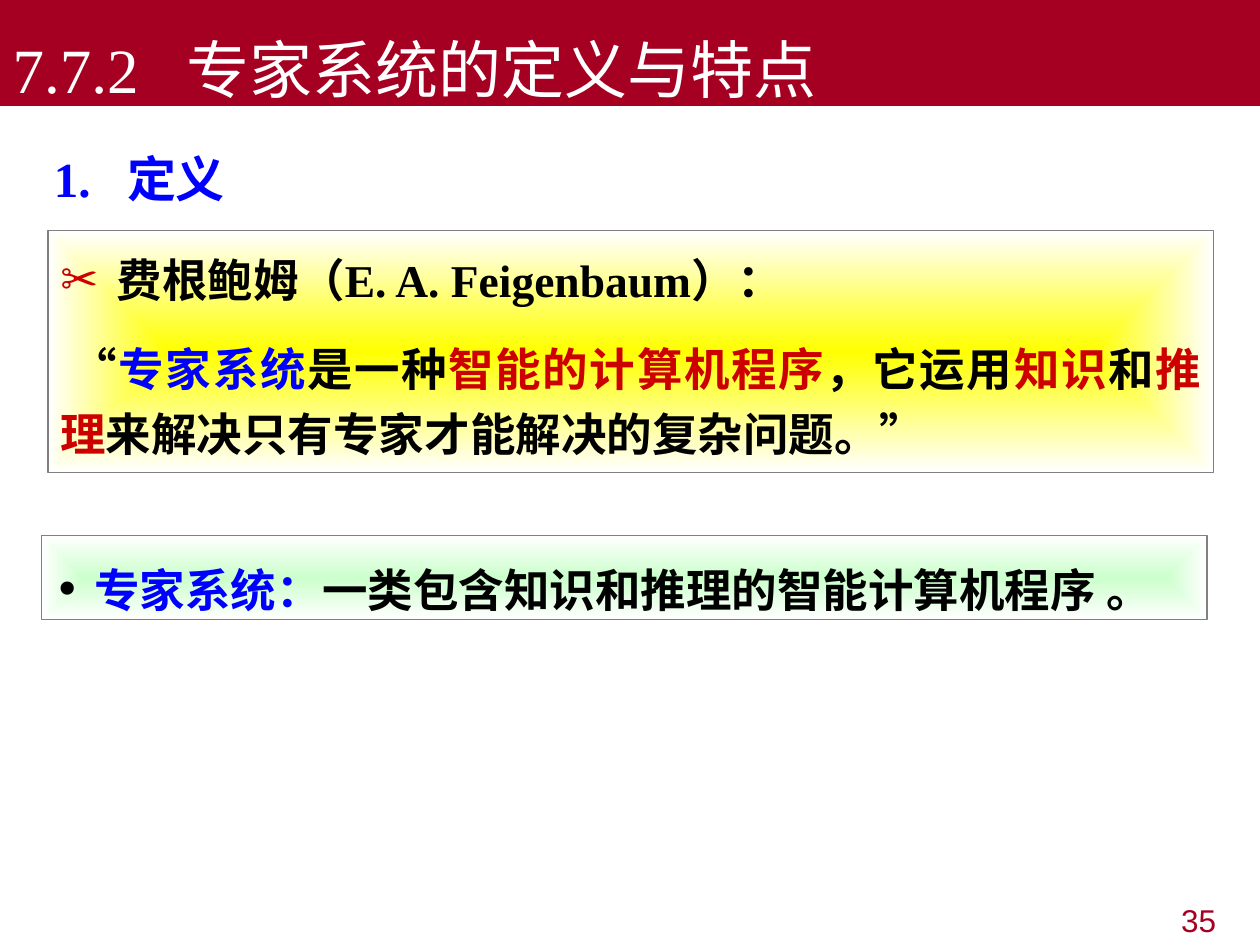
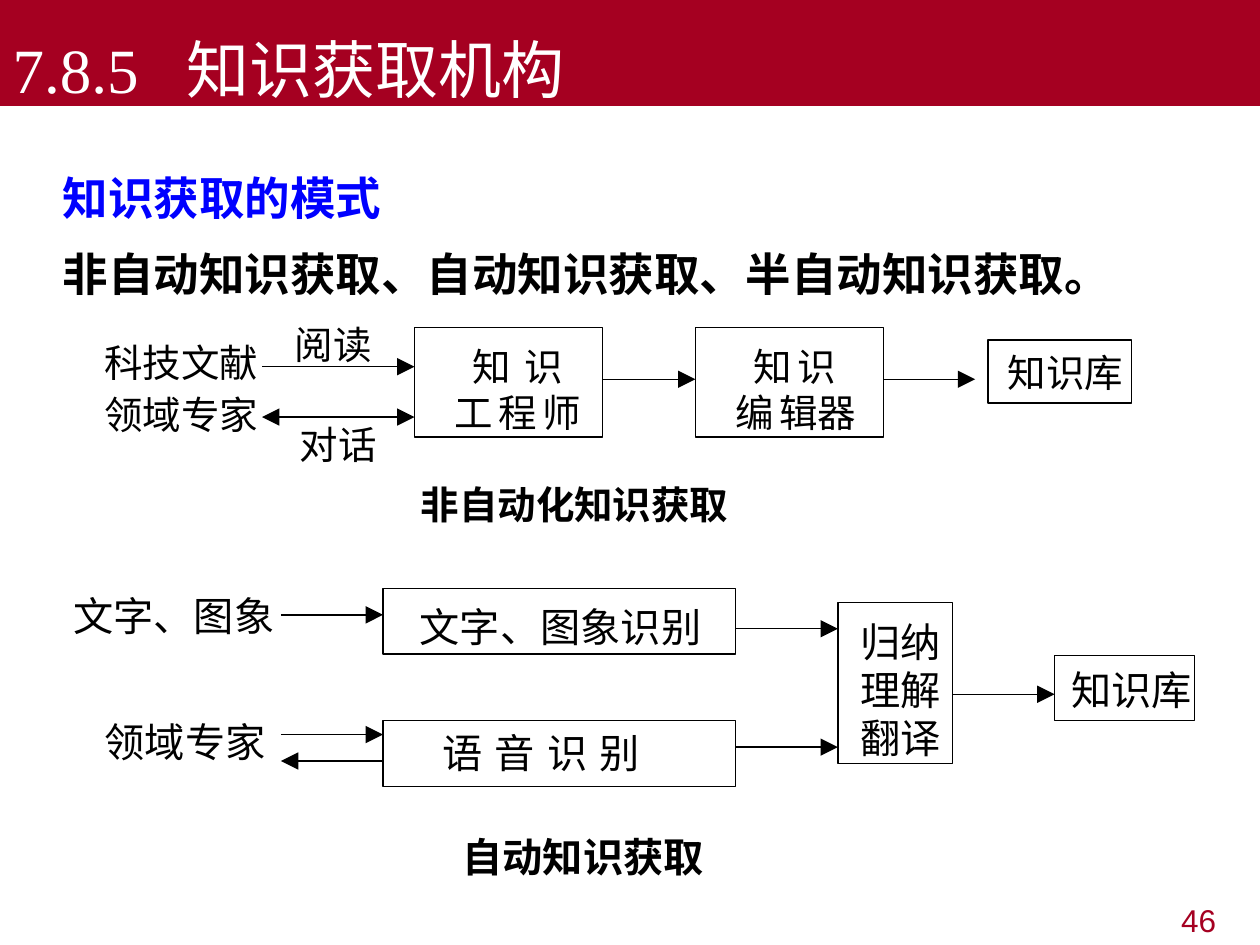
from lxml.etree import SubElement
from pptx import Presentation
from pptx.dml.color import RGBColor
from pptx.enum.shapes import MSO_CONNECTOR as Connector, MSO_SHAPE as Shape
from pptx.enum.text import MSO_ANCHOR as Anchor, MSO_AUTO_SIZE as AutoSize, PP_ALIGN as Align
from pptx.oxml.ns import qn
from pptx.util import Inches, Pt

CRIMSON, RED, BLUE = "A50021", "CC0000", "0000FF"
BLACK, WHITE, GRAY = "000000", "FFFFFF", "808080"
YELLOW, GREEN = "FFFF00", "CCFFCC"
SERIF, SANS, CJK, SYMBOLS = "Times New Roman", "Arial", "Noto Sans CJK SC", "DejaVu Sans"
hue = RGBColor.from_string

deck = Presentation()
deck.slide_width, deck.slide_height = Inches(10), Inches(7.5)
COLUMN, ROW = deck.slide_width / 100, deck.slide_height / 75


def grid(left, top, *size):
    return [round(n * unit) for n, unit in zip((left, top, *size), (COLUMN, ROW) * 2)]


def write(target, paragraphs, size=22, color=BLACK, font=CJK, bold=False, pitch=None,
          before=0, align=Align.LEFT, anchor=Anchor.TOP, insets=(0, 0, 0, 0), wrap=True,
          tab=None, bullet=None, bullet_color=BLACK, hang=0, indents=()):
    frame = target.text_frame
    frame.auto_size, frame.word_wrap, frame.vertical_anchor = AutoSize.NONE, wrap, anchor
    left, top, right, bottom = grid(*insets)
    frame.margin_left, frame.margin_top = left, top
    frame.margin_right, frame.margin_bottom = right, bottom
    for index, runs in enumerate(paragraphs):
        paragraph = frame.add_paragraph() if index else frame.paragraphs[0]
        paragraph.alignment = align
        paragraph.line_spacing = Pt(pitch or round(size * 1.27, 1))
        paragraph.space_before = Pt(before if index else 0)
        props = paragraph._p.get_or_add_pPr()
        if bullet and index == 0:
            props.set("marL", str(round(hang * COLUMN)))
            props.set("indent", str(round(-hang * COLUMN)))
            tint = SubElement(props, qn("a:buClr"))
            SubElement(tint, qn("a:srgbClr")).set("val", bullet_color)
            SubElement(props, qn("a:buFont")).set("typeface", SYMBOLS)
            SubElement(props, qn("a:buChar")).set("char", bullet)
        elif index < len(indents):
            props.set("indent", str(round(indents[index] * COLUMN)))
        if tab:
            stop = SubElement(SubElement(props, qn("a:tabLst")), qn("a:tab"))
            stop.set("pos", str(round(tab * COLUMN)))
            stop.set("algn", "l")
        for text, run_color, tracking in runs if isinstance(runs, list) else [(runs, None, 0)]:
            run = paragraph.add_run()
            run.text = text
            run.font.size, run.font.bold, run.font.name = Pt(size), bold, font
            run.font.color.rgb = hue(run_color or color)
            run_props = run._r.get_or_add_rPr()
            SubElement(run_props, qn("a:ea")).set("typeface", CJK)
            if tracking:
                run_props.set("spc", str(tracking * 100))


PAD = (1, 0.5, 1, 0.5)
slides = []
for heading, number in [("7.7.2\t专家系统的定义与特点", "35"), ("7.8.5\t知识获取机构", "46")]:
    slide = deck.slides.add_slide(deck.slide_layouts[5])
    slides.append(slide)
    band = slide.shapes.title
    band.left, band.top, band.width, band.height = grid(0, 0, 100, 8.4)
    band.fill.solid()
    band.fill.fore_color.rgb = hue(CRIMSON)
    write(band, [heading], size=36, color=WHITE, font=SERIF, anchor=Anchor.BOTTOM,
          insets=(1, 0.5, 1, 0), tab=13.8)
    page = slide.shapes.add_textbox(*grid(75.8, 70.8, 21.7, 3.9))
    write(page, [number], size=18, color=CRIMSON, font=SANS, align=Align.RIGHT, insets=PAD)

definition, acquisition = slides

subject = definition.shapes.add_textbox(*grid(3.3, 10, 92.5, 6))
write(subject, ["1.\t定义"], size=28, color=BLUE, font=SERIF, bold=True, pitch=43,
      insets=PAD, tab=5.8)

quotation = [
    "费根鲍姆（E. A. Feigenbaum）：",
    [(text, tint, 0) for text, tint in [
        ("“", BLACK), ("专家系统", BLUE), ("是一种", BLACK), ("智能的计算机程序", RED),
        ("，它运用", BLACK), ("知识", RED), ("和", BLACK), ("推理", RED),
        ("来解决只有专家才能解决的复杂问题。”", BLACK)]],
]
summary = [[("专家系统：", BLUE, 0), ("一类包含知识和推理的智能计算机程序 。", BLACK, 0)]]
for place, glow, content, layout in [
    ((3.8, 18.3, 92.5, 19.2), YELLOW, quotation,
     dict(pitch=37, before=14, align=Align.JUSTIFY, insets=(1, 0.9, 1, 0.5), bullet="✂",
          bullet_color=RED, hang=4.5, indents=(0, 0.9))),
    ((3.3, 42.5, 92.5, 6.7), GREEN, summary,
     dict(pitch=43, insets=PAD, bullet="•", hang=3.2)),
]:
    panel = definition.shapes.add_shape(Shape.RECTANGLE, *grid(*place))
    panel.shadow.inherit = False
    panel.fill.gradient()
    for stop, tint in zip(panel.fill.gradient_stops, (glow, WHITE)):
        stop.color.rgb = hue(tint)
    gradient = panel._element.spPr.find(qn("a:gradFill"))
    gradient.remove(gradient.find(qn("a:lin")))
    center = SubElement(gradient, qn("a:path"))
    center.set("path", "rect")
    focus = SubElement(center, qn("a:fillToRect"))
    for side in "ltrb":
        focus.set(side, "50000")
    panel.line.color.rgb, panel.line.width = hue(GRAY), Pt(0.75)
    write(panel, content, size=26, font=SERIF, bold=True, **layout)

modes = acquisition.shapes.add_textbox(*grid(4, 11.3, 91, 13.2))
write(modes, [[("知识获取的模式", BLUE, 0)], "非自动知识获取、自动知识获取、半自动知识获取。"],
      size=26, font=SERIF, bold=True, pitch=43.5, insets=PAD)

MANUAL, AUTOMATIC = 22, 23
for left, top, label, size, bold in [
    (8.3, 26.7, "科技文献", MANUAL, False),
    (8.3, 30.8, "领域专家", MANUAL, False),
    (23.4, 25.3, "阅读", MANUAL, False),
    (23.8, 33.2, "对话", MANUAL, False),
    (33.4, 38, "非自动化知识获取", MANUAL, True),
    (5.8, 46.7, "文字、图象", AUTOMATIC, False),
    (8.3, 56.7, "领域专家", AUTOMATIC, False),
    (36.7, 65.8, "自动知识获取", AUTOMATIC, True),
]:
    caption = acquisition.shapes.add_textbox(*grid(left, top, len(label) * size / 7.2, 3.8))
    write(caption, [label], size=size, bold=bold, wrap=False)

engineer = [[("知识", BLACK, 8)], [("工程师", BLACK, 3)]]
editor = [[("知识", BLACK, 3)], [("编", BLACK, 3), ("辑器", BLACK, 0)]]
speech = [[("语音识别", BLACK, 7)]]
for place, content, size, inset, layout in [
    ((32.9, 26, 14.9, 8.7), engineer, MANUAL, (3.2, 1.3), dict(pitch=26, indents=(1.4,))),
    ((55.2, 26, 14.9, 8.7), editor, MANUAL, (3.2, 1.3), dict(pitch=26, indents=(1.4,))),
    ((78.4, 27, 11.4, 5), ["知识库"], MANUAL, (1.6, 0.5), {}),
    ((30.4, 46.7, 28, 5.2), ["文字、图象识别"], AUTOMATIC, (2.9, 0.9), {}),
    ((30.4, 57.2, 28, 5.2), speech, AUTOMATIC, (4.7, 0.4), {}),
    ((66.5, 47.8, 9.1, 12.8), ["归纳", "理解", "翻译"], AUTOMATIC, (1.8, 1.2),
     dict(pitch=27.5)),
    ((83.7, 52, 11.1, 5.2), ["知识库"], AUTOMATIC, (1.3, 0.6), {}),
]:
    step = acquisition.shapes.add_shape(Shape.RECTANGLE, *grid(*place))
    step.shadow.inherit = False
    step.fill.background()
    step.line.color.rgb, step.line.width = hue(BLACK), Pt(0.8)
    write(step, content, size=size, insets=(*inset, 0, 0), wrap=False, **layout)

for start, end, height, two_way in [
    (20.8, 32.9, 29.1, False), (20.8, 32.9, 33.1, True),
    (47.8, 55.2, 30.1, False), (70.1, 77.4, 30.1, False),
    (22.3, 30.4, 48.8, False), (22.3, 30.4, 58.3, False), (30.4, 22.3, 60.4, False),
    (58.4, 66.5, 49.9, False), (58.4, 66.5, 59.3, False), (75.6, 83.7, 55.1, False),
]:
    flow = acquisition.shapes.add_connector(
        Connector.STRAIGHT, *grid(start, height), *grid(end, height))
    flow.line.color.rgb, flow.line.width = hue(BLACK), Pt(0.8)
    for tip in ("headEnd", "tailEnd") if two_way else ("tailEnd",):
        arrow = SubElement(flow.line._get_or_add_ln(), qn(f"a:{tip}"))
        for key, value in (("type", "triangle"), ("w", "lg"), ("len", "lg")):
            arrow.set(key, value)
    SubElement(flow._element.spPr, qn("a:effectLst"))

deck.save("out.pptx")
